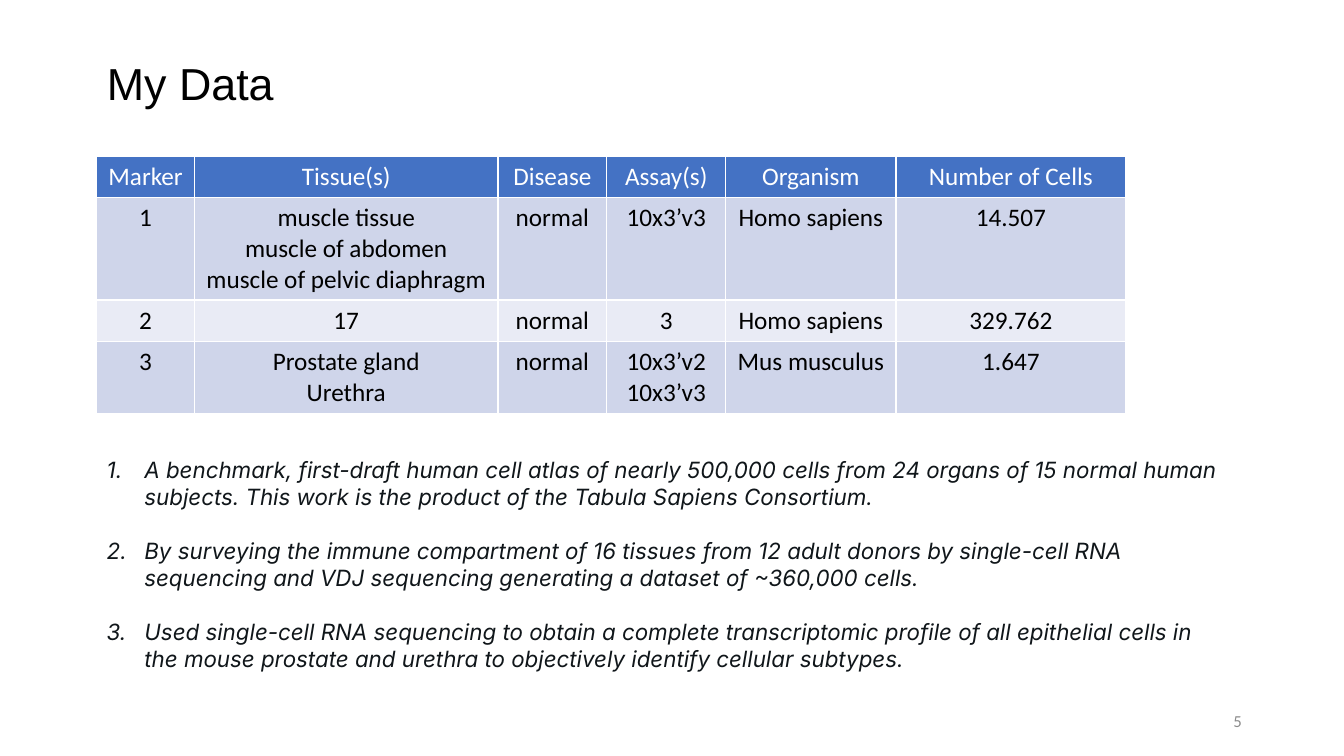
import pptx
import pptx.util
import pptx.dml.color
import pptx.enum.text
import pptx.oxml.ns
import lxml.etree

Cm, Pt = pptx.util.Cm, pptx.util.Pt
ALIGN = pptx.enum.text.PP_ALIGN
ANCHOR = pptx.enum.text.MSO_ANCHOR
COLORS = {
    "black": "000000", "white": "FFFFFF", "ink": "10161A", "grey": "8C8C8C",
    "header": "4472C4", "band_dark": "CFD5EA", "band_light": "E9EBF5",
}
COLUMN_WIDTHS = [2.46, 7.65, 2.74, 3, 4.29, 5.79]
ROWS = [
    ["Marker", "Tissue(s)", "Disease", "Assay(s)", "Organism", "Number of Cells"],
    ["1", "muscle tissue\nmuscle of abdomen\nmuscle of pelvic diaphragm",
     "normal", "10x3’v3", "Homo sapiens", "14.507"],
    ["2", "17", "normal", "3", "Homo sapiens", "329.762"],
    ["3", "Prostate gland\nUrethra", "normal", "10x3’v2\n10x3’v3",
     "Mus musculus", "1.647"],
]
NOTES = [
    "A benchmark, first-draft human cell atlas of nearly 500,000 cells from 24 organs "
    "of 15 normal human subjects. This work is the product of the Tabula Sapiens Consortium.",
    "By surveying the immune compartment of 16 tissues from 12 adult donors by single-cell "
    "RNA sequencing and VDJ sequencing generating a dataset of ~360,000 cells.",
    "Used single-cell RNA sequencing to obtain a complete transcriptomic profile of all "
    "epithelial cells in the mouse prostate and urethra to objectively identify cellular subtypes.",
]


class Deck:
    """Holds the style and the current slide, and adds elements to it."""

    def __init__(self, width, height):
        self.prs = pptx.Presentation()
        self.prs.slide_width, self.prs.slide_height = Cm(width), Cm(height)
        self.s = None

    def add_slide(self):
        self.s = self.prs.slides.add_slide(self.prs.slide_layouts[5])

    def set_text(self, p, text, font, size, color, align=ALIGN.LEFT, italic=False):
        p.text = text
        p.alignment = align
        for r in p.runs:
            r.font.name, r.font.size = font, Pt(size)
            r.font.bold, r.font.italic = False, italic
            r.font.color.rgb = pptx.dml.color.RGBColor.from_string(COLORS[color])

    def title(self, text, x, y, w, h):
        sp = self.s.shapes.title
        sp.left, sp.top, sp.width, sp.height = Cm(x), Cm(y), Cm(w), Cm(h)
        tf = sp.text_frame
        tf.vertical_anchor = ANCHOR.TOP
        self.set_text(tf.paragraphs[0], text, "Arial", 32, "black")

    def text_box(self, x, y, w, h, anchor=ANCHOR.TOP):
        tf = self.s.shapes.add_textbox(Cm(x), Cm(y), Cm(w), Cm(h)).text_frame
        tf.word_wrap = True
        tf.vertical_anchor = anchor
        return tf

    def page_number(self, text, x, y, w, h):
        tf = self.text_box(x, y, w, h, ANCHOR.MIDDLE)
        self.set_text(tf.paragraphs[0], text, "Calibri", 12, "grey", ALIGN.RIGHT)

    def numbered_list(self, items, x, y, w, h):
        tf = self.text_box(x, y, w, h)
        for i, item in enumerate(items):
            p = tf.paragraphs[0] if i == 0 else tf.add_paragraph()
            self.set_text(p, item, "Inter", 16, "ink", italic=True)
            if i < len(items) - 1:
                p.space_after = Pt(19.4)
            pPr = p._p.get_or_add_pPr()
            pPr.set("marL", str(Cm(0.95)))
            pPr.set("indent", str(-Cm(0.95)))
            lxml.etree.SubElement(pPr, pptx.oxml.ns.qn("a:buAutoNum"), type="arabicPeriod")

    def table(self, rows, widths, x, y):
        heights = [1.04 + 0.77 * max(text.count("\n") for text in row) for row in rows]
        table = self.s.shapes.add_table(
            len(rows), len(widths), Cm(x), Cm(y), Cm(sum(widths)), Cm(sum(heights))).table
        for column, width in zip(table.columns, widths):
            column.width = Cm(width)
        for i, (row, height) in enumerate(zip(rows, heights)):
            table.rows[i].height = Cm(height)
            fill = "header" if i == 0 else "band_dark" if i % 2 else "band_light"
            color = "black" if i else "white"
            for j, text in enumerate(row):
                cell = table.cell(i, j)
                cell.fill.solid()
                cell.fill.fore_color.rgb = pptx.dml.color.RGBColor.from_string(COLORS[fill])
                p = cell.text_frame.paragraphs[0]
                self.set_text(p, text, "Calibri", 18, color, ALIGN.CENTER)


def main():
    deck = Deck(33.87, 19.05)
    deck.add_slide()
    deck.title("My Data", 2.44, 1.27, 28.3, 1.63)
    deck.page_number("5", 23.93, 17.65, 7.62, 1.02)
    deck.table(ROWS, COLUMN_WIDTHS, 2.44, 3.94)
    deck.numbered_list(NOTES, 2.44, 11.38, 28.55, 5.89)
    deck.prs.save("out.pptx")


if __name__ == "__main__":
    main()
